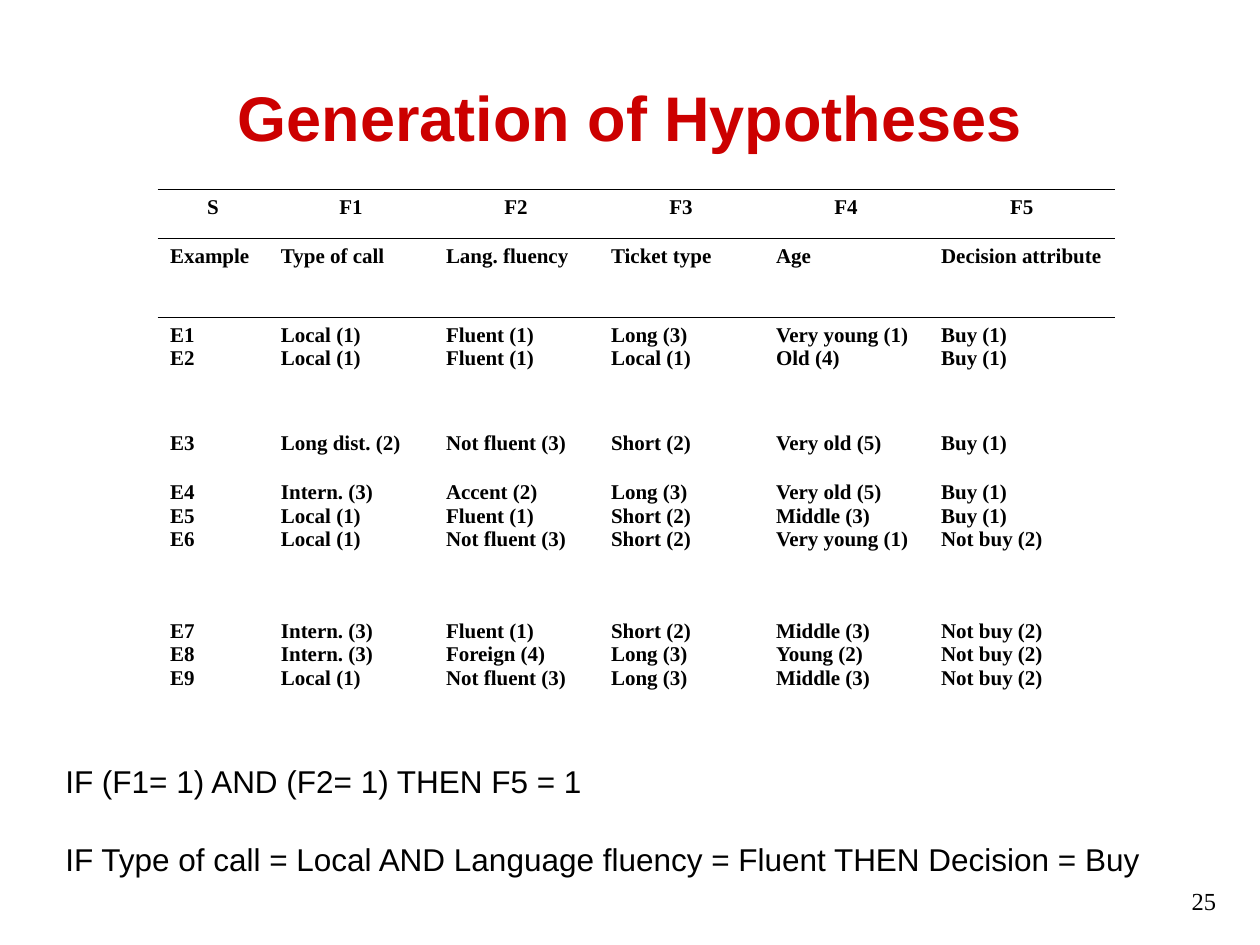
from lxml.etree import SubElement
from pptx import Presentation
from pptx.dml.color import RGBColor
from pptx.enum.text import MSO_ANCHOR, PP_ALIGN
from pptx.oxml.ns import qn
from pptx.util import Inches, Pt

COLORS = {"title": "CC0000", "text": "000000", "rule": "000000"}
SANS, SERIF = "Arial", "Times New Roman"
NO_STYLE = "{2D5ABB26-0587-4C30-8999-92F81FD0307C}"

# Each table row is a group of lines; each line holds one value per column
GROUPS = [
    [["S", "F1", "F2", "F3", "F4", "F5"]],
    [["Example", "Type of call", "Lang. fluency", "Ticket type", "Age", "Decision attribute"]],
    [["E1", "Local (1)", "Fluent (1)", "Long (3)", "Very young (1)", "Buy (1)"],
     ["E2", "Local (1)", "Fluent (1)", "Local (1)", "Old (4)", "Buy (1)"]],
    [["E3", "Long dist. (2)", "Not fluent (3)", "Short (2)", "Very old (5)", "Buy (1)"]],
    [["E4", "Intern. (3)", "Accent (2)", "Long (3)", "Very old (5)", "Buy (1)"],
     ["E5", "Local (1)", "Fluent (1)", "Short (2)", "Middle (3)", "Buy (1)"],
     ["E6", "Local (1)", "Not fluent (3)", "Short (2)", "Very young (1)", "Not buy (2)"]],
    [["E7", "Intern. (3)", "Fluent (1)", "Short (2)", "Middle (3)", "Not buy (2)"],
     ["E8", "Intern. (3)", "Foreign (4)", "Long (3)", "Young (2)", "Not buy (2)"],
     ["E9", "Local (1)", "Not fluent (3)", "Long (3)", "Middle (3)", "Not buy (2)"]],
]
COLUMN_WIDTHS = [8.8] + [13.1] * 4 + [14.8]
ROW_HEIGHTS = [3.9, 6.3, 8.6, 3.9, 11, 8.7]
RULES = [
    "IF (F1= 1) AND (F2= 1) THEN F5 = 1",
    "IF Type of call = Local AND Language fluency = Fluent THEN Decision = Buy",
]


class SlideBuilder:
    """Places elements on a grid of 100 columns by 75 rows."""

    def __init__(self, presentation):
        self.unit = presentation.slide_width / 100
        self.slide = presentation.slides.add_slide(presentation.slide_layouts[6])

    def grid(self, *lengths):
        return [round(length * self.unit) for length in lengths]

    def fill_text(self, frame, lines, font, size, color="text", bold=False,
                  align=PP_ALIGN.LEFT, gap=0):
        for index, line in enumerate(lines):
            paragraph = frame.add_paragraph() if index else frame.paragraphs[0]
            paragraph.text = line
            paragraph.alignment = align
            if index and gap:
                paragraph.space_before = Pt(gap)
            paragraph.font.name = font
            paragraph.font.size = Pt(size)
            paragraph.font.bold = bold
            paragraph.font.color.rgb = RGBColor.from_string(COLORS[color])

    def text(self, place, lines, anchor=MSO_ANCHOR.TOP, **style):
        frame = self.slide.shapes.add_textbox(*self.grid(*place)).text_frame
        frame.word_wrap = True
        frame.vertical_anchor = anchor
        self.fill_text(frame, lines, **style)

    def border(self, cell, tag):
        line = SubElement(cell._tc.get_or_add_tcPr(), qn(tag), w=str(Pt(0.45)))
        fill = SubElement(line, qn("a:solidFill"))
        SubElement(fill, qn("a:srgbClr"), val=COLORS["rule"])

    def table(self, left, top, widths, heights, groups):
        place = self.grid(left, top, sum(widths), sum(heights))
        table = self.slide.shapes.add_table(len(heights), len(widths), *place).table
        table.first_row = table.horz_banding = False
        table._tbl.tblPr.find(qn("a:tableStyleId")).text = NO_STYLE
        for column, width in zip(table.columns, self.grid(*widths)):
            column.width = width
        for row, height in zip(table.rows, self.grid(*heights)):
            row.height = height
        for row_index, group in enumerate(groups):
            align = PP_ALIGN.LEFT if row_index else PP_ALIGN.CENTER
            for column_index, lines in enumerate(zip(*group)):
                cell = table.cell(row_index, column_index)
                # Lines above and below the header row only
                if row_index < 2:
                    self.border(cell, "a:lnT")
                if row_index == 0:
                    self.border(cell, "a:lnB")
                cell.fill.background()
                self.fill_text(cell.text_frame, lines, SERIF, 12, bold=True, align=align)


def main():
    presentation = Presentation()
    presentation.slide_width, presentation.slide_height = Inches(10), Inches(7.5)
    builder = SlideBuilder(presentation)

    # Title
    builder.text((5, 3, 90, 12.5), ["Generation of Hypotheses"], anchor=MSO_ANCHOR.MIDDLE,
                 font=SANS, size=36, color="title", bold=True, align=PP_ALIGN.CENTER)

    # Examples and their features
    builder.table(12.5, 15, COLUMN_WIDTHS, ROW_HEIGHTS, GROUPS)

    # Hypotheses
    builder.text((4.2, 60, 91.6, 10), RULES, font=SANS, size=18, gap=23)

    # Slide number
    builder.text((74.2, 69.8, 23.3, 5.2), ["25"], font=SERIF, size=14, align=PP_ALIGN.RIGHT)

    presentation.save("out.pptx")


if __name__ == "__main__":
    main()
